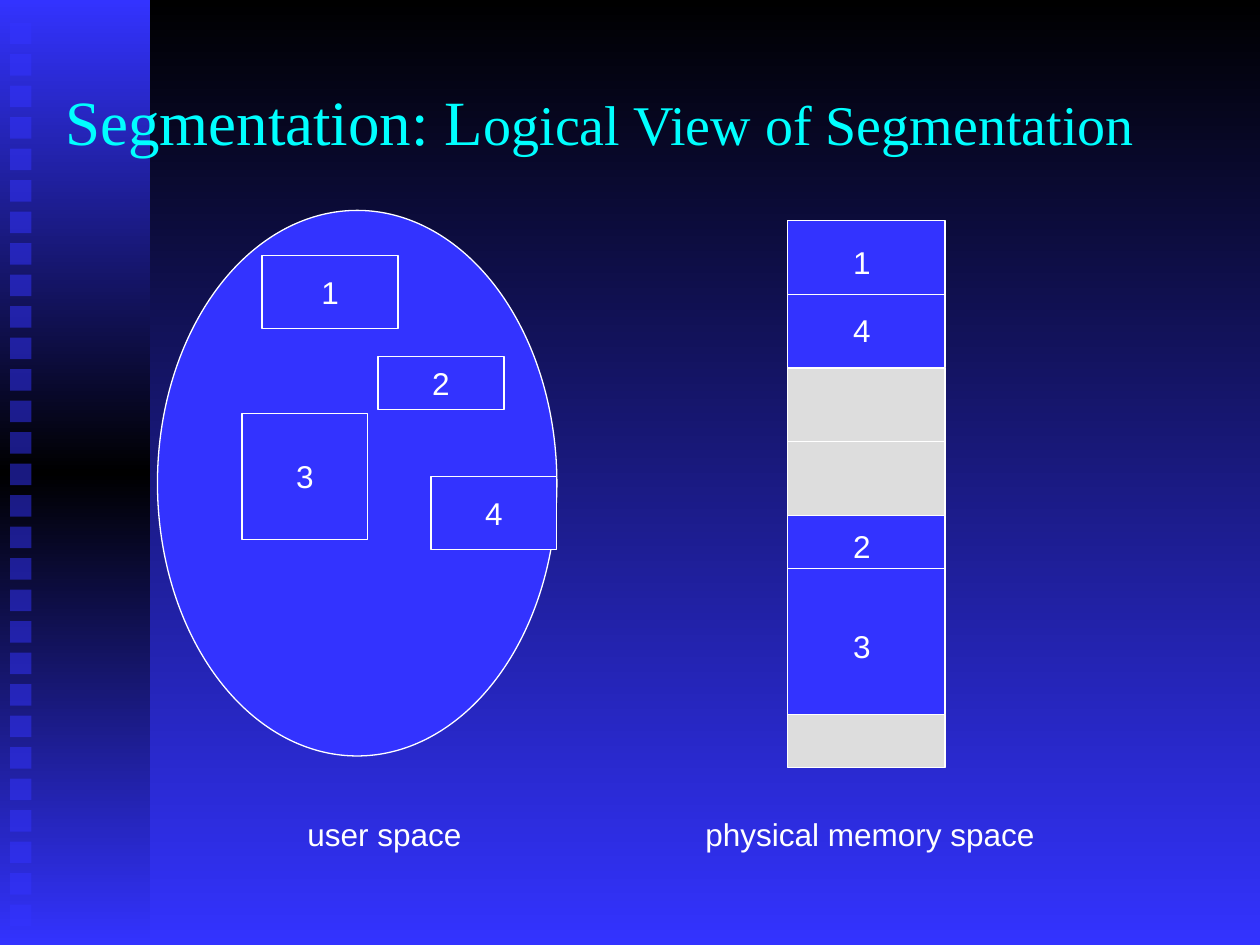
from lxml import etree
from pptx import Presentation, util as u
from pptx.dml.color import RGBColor
from pptx.enum import shapes, text
from pptx.oxml.ns import qn

# Content
TITLE = [("Segmentation: L", 36), ("ogical View of Segmentation", 32)]
USER = [  # label, left, top, width, height
    ("1", 2.08, 2.03, 1.08, 0.58),
    ("3", 1.92, 3.28, 1, 1),
    ("2", 3, 2.83, 1, 0.42),
    ("4", 3.42, 3.78, 1, 0.58),
]
MEMORY = [  # height, fill, distance from top to divider
    (1.17, "blue", 0.585),
    (1.17, "grey", 0.585),
    (1.58, "blue", 0.42),
    (0.42, "grey", None),
]
MARKS = [("1", 2.08), ("4", 2.62), ("2", 4.33), ("3", 5.13)]  # label, centre
NOTES = [("user space ", 2.34, 1.49), ("physical memory space", 5.5, 2.81)]


class Theme:
    blue, grey, white, cyan, black = (
        "3333FF", "DDDDDD", "FFFFFF", "00FFFF", "000000")
    body, head = "Arial", "Times New Roman"
    size, line = 18, 0.75


def rgb(code):
    return RGBColor.from_string(code)


def blend(owner, fill, stops):
    """Fill from top to bottom with evenly spaced colours."""
    fill.gradient()
    fill.gradient_angle = 270
    items = owner._element.find(".//" + qn("a:gradFill")).find(qn("a:gsLst"))
    for old in list(items):
        items.remove(old)
    for i, code in enumerate(stops):
        stop = etree.SubElement(items, qn("a:gs"))
        stop.set("pos", str(100000 * i // (len(stops) - 1)))
        etree.SubElement(stop, qn("a:srgbClr")).set("val", code)


def shape(kind, x, y, w, h, fill, edge=True):
    item = slide.shapes.add_shape(kind, *map(u.Inches, (x, y, w, h)))
    item.shadow.inherit = False
    item.fill.solid()
    item.fill.fore_color.rgb = rgb(fill)
    if edge:
        item.line.color.rgb = rgb(Theme.white)
        item.line.width = u.Pt(Theme.line)
    else:
        item.line.fill.background()
    return item


def write(item, runs, font=Theme.body, color=Theme.white,
          align=text.PP_ALIGN.CENTER, wrap=False):
    frame = item.text_frame
    frame.word_wrap = wrap
    frame.vertical_anchor = text.MSO_ANCHOR.MIDDLE
    para = frame.paragraphs[0]
    para.alignment = align
    for words, size in runs:
        run = para.add_run()
        run.text = words
        run.font.size = u.Pt(size)
        run.font.name = font
        run.font.color.rgb = rgb(color)


def box(x, y, w, h):
    return slide.shapes.add_textbox(*map(u.Inches, (x, y, w, h)))


def divide(block, x, y, w, middle):
    line = slide.shapes.add_connector(
        shapes.MSO_CONNECTOR.STRAIGHT,
        u.Inches(x), u.Inches(y), u.Inches(x + w), u.Inches(y))
    if middle:
        line.begin_connect(block, 1)
        line.end_connect(block, 3)
    line.line.color.rgb = rgb(Theme.white)
    line.line.width = u.Pt(Theme.line)
    etree.SubElement(line._element.spPr, qn("a:effectLst"))


deck = Presentation()
deck.slide_width, deck.slide_height = u.Inches(10), u.Inches(7.5)
slide = deck.slides.add_slide(deck.slide_layouts[6])
RECT, OVAL = shapes.MSO_SHAPE.RECTANGLE, shapes.MSO_SHAPE.OVAL

# Background and side band
blend(slide, slide.background.fill, [Theme.black, Theme.blue])
band = shape(RECT, 0, 0, 1.19, 7.5, Theme.blue, edge=False)
blend(band, band.fill, [Theme.blue, Theme.black, Theme.blue])
for i in range(29):
    dot = shape(RECT, 0.08, 0.18 + 0.25 * i, 0.17, 0.17, Theme.blue, edge=False)
    tint = dot._element.spPr.find(qn("a:solidFill"))[0]
    etree.SubElement(tint, qn("a:alpha")).set("val", "50000")

# Title
write(box(0.42, 0.33, 8.92, 1.25), TITLE, Theme.head, Theme.cyan,
      text.PP_ALIGN.LEFT, wrap=True)

# User space
shape(OVAL, 1.25, 1.67, 3.17, 4.33, Theme.blue)
for label, *place in USER:
    write(shape(RECT, *place, Theme.blue), [(label, Theme.size)])

# Physical memory, stacked from the top
left, top, wide = 6.25, 1.75, 1.25
for high, fill, split in MEMORY:
    block = shape(RECT, left, top, wide, high, getattr(Theme, fill))
    if split:
        divide(block, left, top + split, wide, middle=split * 2 == high)
    top += high
for label, mid in MARKS:
    write(box(6.67, mid - 0.2, 0.34, 0.4), [(label, Theme.size)])

# Captions
for words, x, w in NOTES:
    write(box(x, 6.42, w, 0.4), [(words, Theme.size)])

deck.save("out.pptx")
